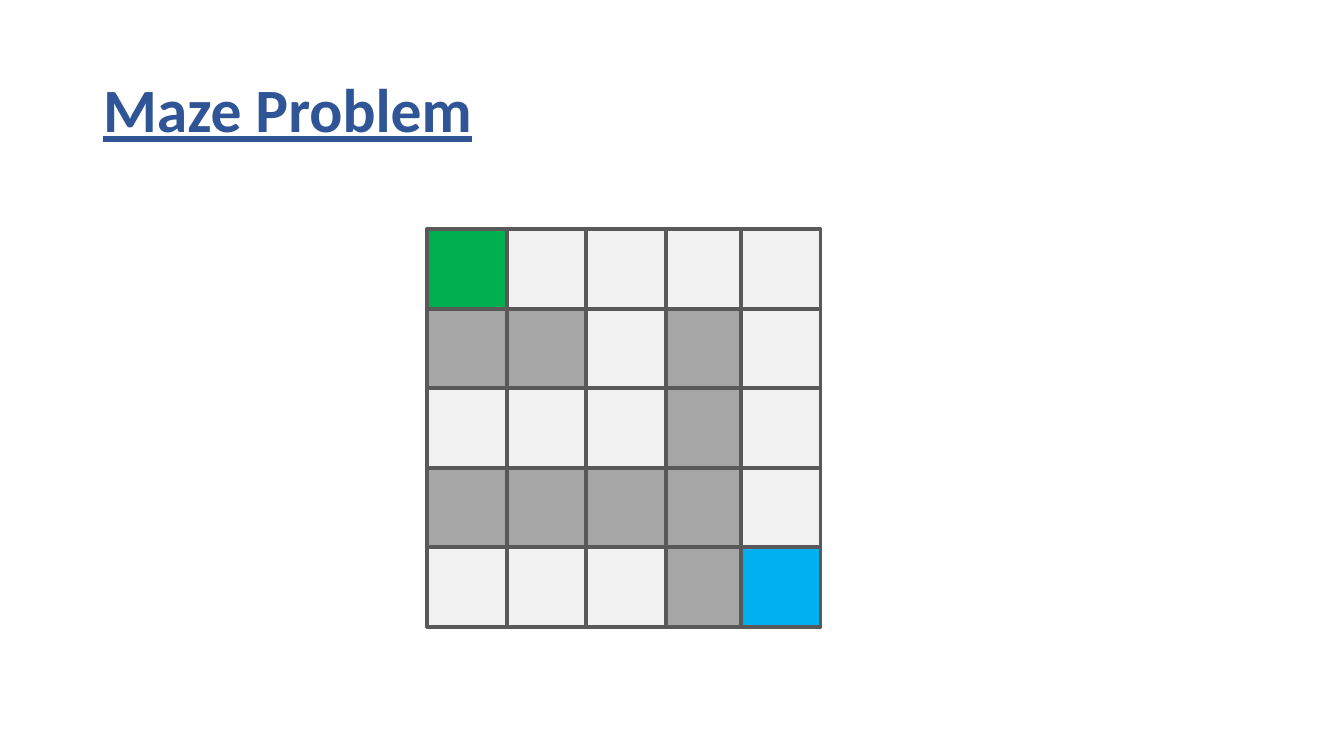
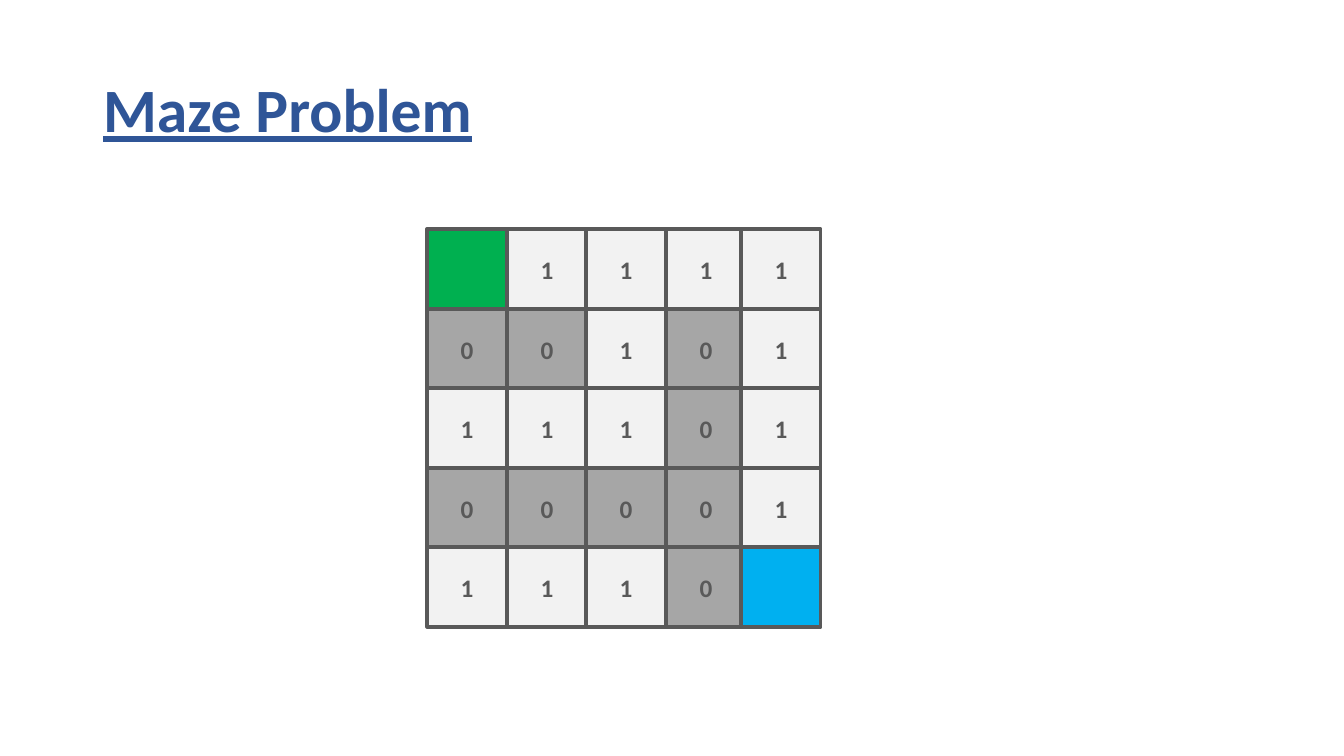
from dataclasses import dataclass

from pptx import Presentation
from pptx.dml.color import RGBColor
from pptx.enum.shapes import MSO_SHAPE
from pptx.enum.text import MSO_ANCHOR, MSO_AUTO_SIZE, PP_ALIGN
from pptx.util import Pt

RECTANGLE = MSO_SHAPE.RECTANGLE
MIDDLE = MSO_ANCHOR.MIDDLE
NO_AUTOFIT = MSO_AUTO_SIZE.NONE
LEFT = PP_ALIGN.LEFT
CENTER = PP_ALIGN.CENTER

SLIDE_WIDTH, SLIDE_HEIGHT = 1344, 756
EMU_PER_PIXEL = 914400 / 100.8
TITLE_ONLY_LAYOUT = 5
TITLE_BOX = (93, 40, 1159, 146)

MAZE_LEFT, MAZE_TOP = 427, 229
CELL_SIZE = 80
CELL_PITCH = 79.6
LAST_COLUMN_OVERLAP = 4
# S is the start, G the goal, 1 an open cell and 0 a wall.
MAZE = ("S1111", "00101", "11101", "00001", "1110G")


@dataclass(frozen=True)
class Theme:
    """Colours, font and type sizes shared by the slides."""
    font: str = "Calibri"
    title_size: int = 44
    cell_size: int = 18
    border_width: float = 2.25
    title: str = "2F5597"
    ink: str = "595959"
    start: str = "00B050"
    goal: str = "00B0F0"
    open_cell: str = "F2F2F2"
    wall: str = "A6A6A6"


THEME = Theme()
CELL_FILLS = {"S": THEME.start, "G": THEME.goal,
              "1": THEME.open_cell, "0": THEME.wall}


def px(pixels):
    """Turn pixels into EMU."""
    return round(pixels * EMU_PER_PIXEL)


def write_text(shape, text, *, size, color, alignment=CENTER,
               underline=False, line_spacing=None):
    """Write one bold, vertically centred paragraph into a shape."""
    frame = shape.text_frame
    frame.word_wrap = True
    frame.auto_size = NO_AUTOFIT
    frame.vertical_anchor = MIDDLE
    paragraph = frame.paragraphs[0]
    paragraph.alignment = alignment
    paragraph.line_spacing = line_spacing
    run = paragraph.add_run()
    run.text = text
    font = run.font
    font.name = THEME.font
    font.size = Pt(size)
    font.bold = True
    font.underline = underline
    font.color.rgb = RGBColor.from_string(color)


def place_layout_title(layout):
    """Set the title position once, for every slide of the layout."""
    title = layout.placeholders[0]
    title.left, title.top, title.width, title.height = map(px, TITLE_BOX)


def add_titled_slide(presentation, layout, title):
    """Add a slide with the shared title style."""
    slide = presentation.slides.add_slide(layout)
    write_text(slide.shapes.title, title, size=THEME.title_size,
               color=THEME.title, alignment=LEFT, underline=True,
               line_spacing=0.9)
    return slide


def add_cell(slide, left, top, fill, label=""):
    """Add one bordered maze cell, with a label if given."""
    cell = slide.shapes.add_shape(RECTANGLE, px(left), px(top),
                                  px(CELL_SIZE), px(CELL_SIZE))
    cell.shadow.inherit = False
    cell.fill.solid()
    cell.fill.fore_color.rgb = RGBColor.from_string(fill)
    cell.line.color.rgb = RGBColor.from_string(THEME.ink)
    cell.line.width = Pt(THEME.border_width)
    if label:
        write_text(cell, label, size=THEME.cell_size, color=THEME.ink)


def add_maze(slide, show_values):
    """Add the maze grid, optionally with its 0 and 1 values."""
    for row, codes in enumerate(MAZE):
        top = MAZE_TOP + round(row * CELL_PITCH)
        for column, code in enumerate(codes):
            left = MAZE_LEFT + round(column * CELL_PITCH)
            if column == len(codes) - 1:
                left -= LAST_COLUMN_OVERLAP
            label = code if show_values and code in "01" else ""
            add_cell(slide, left, top, CELL_FILLS[code], label)


def main():
    """Build the plain maze and the maze with values."""
    presentation = Presentation()
    presentation.slide_width = px(SLIDE_WIDTH)
    presentation.slide_height = px(SLIDE_HEIGHT)
    layout = presentation.slide_layouts[TITLE_ONLY_LAYOUT]
    place_layout_title(layout)
    for show_values in (False, True):
        slide = add_titled_slide(presentation, layout, "Maze Problem")
        add_maze(slide, show_values)
    presentation.save("out.pptx")


main()
